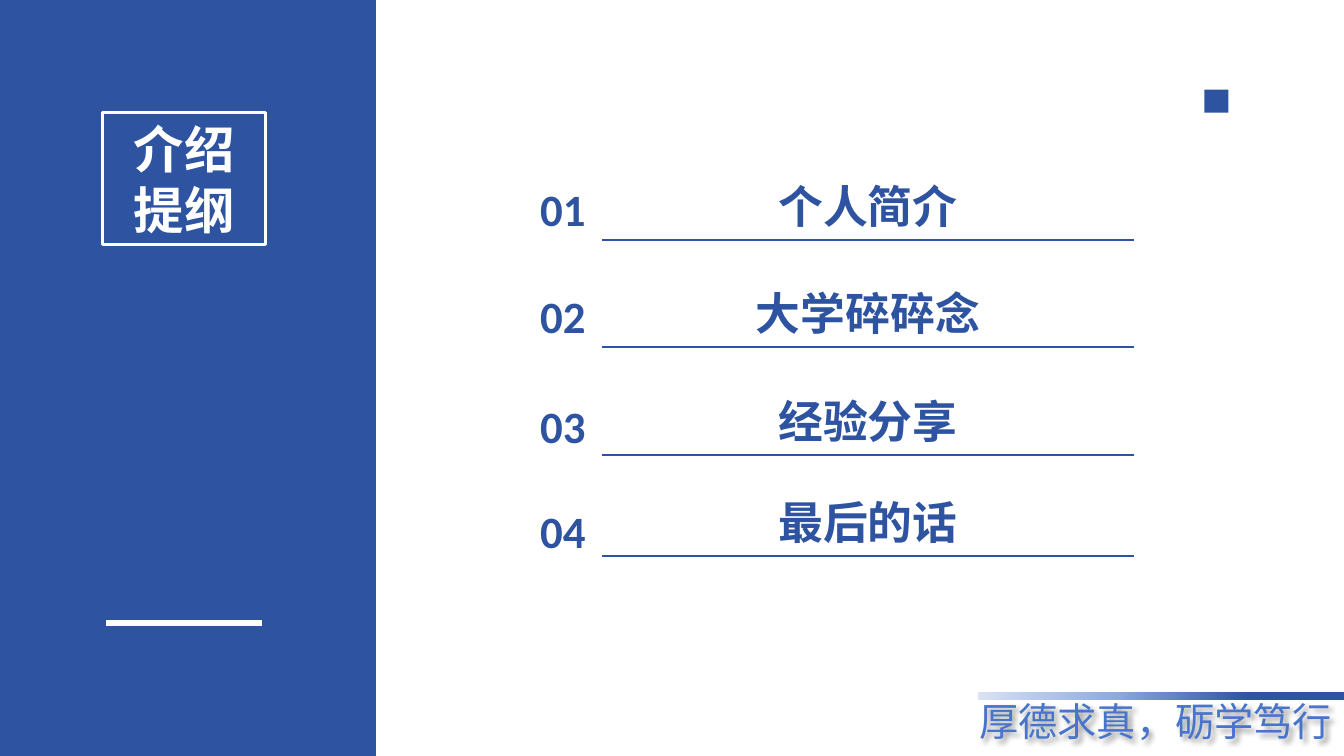
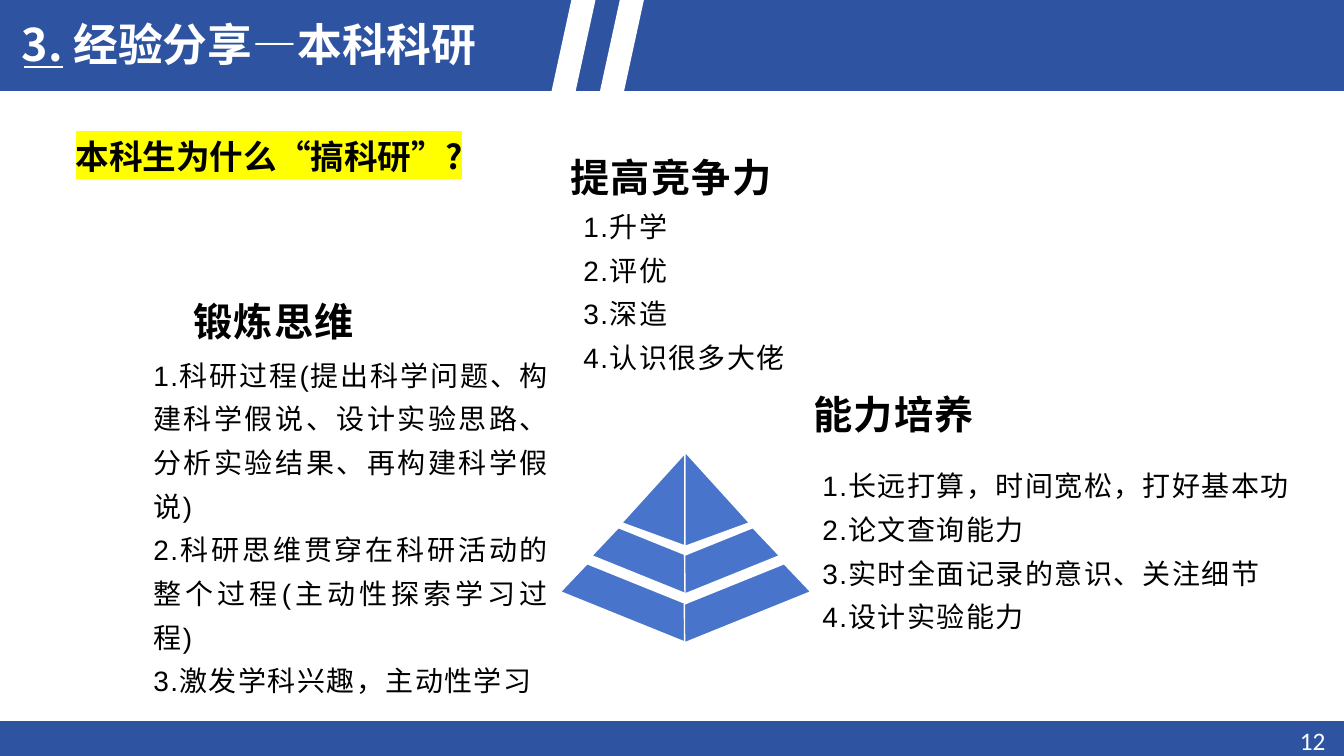
import pptx
import pptx.util
import pptx.dml.color
import pptx.enum.shapes
import pptx.enum.text
import pptx.oxml
import pptx.oxml.ns
from lxml import etree

Cm = pptx.util.Cm
Pt = pptx.util.Pt
qn = pptx.oxml.ns.qn
SHAPE = pptx.enum.shapes.MSO_SHAPE
ALIGN = pptx.enum.text.PP_ALIGN
ANCHOR = pptx.enum.text.MSO_ANCHOR
AUTO_SIZE = pptx.enum.text.MSO_AUTO_SIZE

COLORS = {
    "navy": "2E54A1",
    "blue": "4874CB",
    "white": "FFFFFF",
    "black": "000000",
    "yellow": "FFFF00",
}
FADE = [(0, "DAE3F5"), (17, "B6C7EA"), (36, "91ACE0"), (74, "2E54A1"), (100, "2E54A1")]
CHINESE = "Noto Sans CJK SC"
WIDTH, HEIGHT = 33.87, 19.05
TITLE_STYLE = {"font": CHINESE, "color": "white", "bold": True}
ITEM_STYLE = {"size": 32, "color": "navy", "bold": True, "align": ALIGN.CENTER}
LIST_STYLE = {"size": 20, "align": ALIGN.JUSTIFY, "line_spacing": 1.3, "tracking": 100}
HEADING_STYLE = LIST_STYLE | {"size": 28, "bold": True}


def rgb(name):
    return pptx.dml.color.RGBColor.from_string(COLORS[name])


def place(shape, box):
    """Put a shape at left, top, width, height in centimetres."""
    shape.left, shape.top, shape.width, shape.height = (Cm(value) for value in box)


def write(shape, text, size=18, font="Arial", color="black", bold=False,
          align=ALIGN.LEFT, anchor=ANCHOR.TOP, line_spacing=1.0,
          tracking=None, highlight=None, wrap=True):
    """Fill a shape with one formatted paragraph for each line of text."""
    frame = shape.text_frame
    frame.text = text
    frame.word_wrap = wrap
    frame.auto_size = AUTO_SIZE.NONE
    frame.vertical_anchor = anchor
    for paragraph in frame.paragraphs:
        properties = paragraph._p.get_or_add_pPr()
        if shape.is_placeholder:
            properties.set("marL", "0")
            properties.set("indent", "0")
            etree.SubElement(properties, qn("a:buNone"))
        paragraph.alignment = align
        paragraph.line_spacing = line_spacing
        paragraph.space_before = Pt(0)
        for run in paragraph.runs:
            run.font.size = Pt(size)
            run.font.bold = bold
            run.font.color.rgb = rgb(color)
            run.font.name = font
            run_properties = run._r.get_or_add_rPr()
            latin = run_properties.find(qn("a:latin"))
            east_asian = etree.Element(qn("a:ea"))
            east_asian.set("typeface", font if "CJK" in font else CHINESE)
            latin.addnext(east_asian)
            if tracking:
                run_properties.set("spc", str(tracking))
            if highlight:
                marker = etree.Element(qn("a:highlight"))
                etree.SubElement(marker, qn("a:srgbClr")).set("val", COLORS[highlight])
                latin.addprevious(marker)


def add_text(slide, box, text, **style):
    shape = slide.shapes.add_textbox(*(Cm(value) for value in box))
    write(shape, text, **style)
    return shape


def fill_placeholder(slide, index, box, text, **style):
    """Move a placeholder to the front, place it and write in it."""
    shape = slide.placeholders[index]
    slide.shapes._spTree.append(shape._element)
    place(shape, box)
    write(shape, text, **style)
    return shape


def add_block(slide, kind, box, fill="navy", line=None, adjustment=None,
              rotation=0, flip=False):
    shape = slide.shapes.add_shape(kind, *(Cm(value) for value in box))
    shape.shadow.inherit = False
    shape.fill.solid()
    shape.fill.fore_color.rgb = rgb(fill)
    if line:
        shape.line.color.rgb = rgb(line)
        shape.line.width = Pt(1)
    else:
        shape.line.fill.background()
    if adjustment is not None:
        shape.adjustments[0] = adjustment
    shape.rotation = rotation
    if flip:
        shape._element.spPr.find(qn("a:xfrm")).set("flipH", "1")
    return shape


def add_rule(slide, start, end, top, color, width):
    """Draw a horizontal line."""
    connector = slide.shapes.add_connector(
        pptx.enum.shapes.MSO_CONNECTOR.STRAIGHT, Cm(start), Cm(top), Cm(end), Cm(top))
    connector.line.color.rgb = rgb(color)
    connector.line.width = Pt(width)
    etree.SubElement(connector._element.spPr, qn("a:effectLst"))


def fade(shape):
    """Give a shape a left-to-right gradient."""
    shape.fill.gradient()
    shape.fill.gradient_angle = 0
    stops = shape._element.spPr.find(qn("a:gradFill")).find(qn("a:gsLst"))
    for stop in list(stops):
        stops.remove(stop)
    for position, color in FADE:
        stop = etree.SubElement(stops, qn("a:gs"))
        stop.set("pos", str(position * 1000))
        etree.SubElement(stop, qn("a:srgbClr")).set("val", color)


def add_soft_shadow(shape):
    effects = etree.SubElement(shape._element.spPr, qn("a:effectLst"))
    shadow = etree.SubElement(effects, qn("a:outerShdw"))
    for name, value in (("blurRad", Pt(4)), ("dist", Pt(3)), ("dir", 2700000), ("algn", "tl")):
        shadow.set(name, str(value))
    color = etree.SubElement(shadow, qn("a:srgbClr"))
    color.set("val", COLORS["black"])
    etree.SubElement(color, qn("a:alpha")).set("val", "40000")


def add_pyramid(slide, axis):
    """Build each tier as a left half and its mirrored right half."""
    tiers = [
        (SHAPE.TRAPEZOID, (14.17, 14.68, 3.43, 0.91), 0.394, 22),
        (SHAPE.TRAPEZOID, (14.99, 13.61, 2.57, 0.91), 0.394, 22),
        (SHAPE.ISOSCELES_TRIANGLE, (15.29, 11.76, 2.39, 1.63), 0.249, 270),
    ]
    for kind, (left, top, width, height), adjustment, rotation in tiers:
        mirrored_left = 2 * axis - left - width
        add_block(slide, kind, (left, top, width, height), "blue", "white",
                  adjustment, rotation)
        add_block(slide, kind, (mirrored_left, top, width, height), "blue", "white",
                  adjustment, 360 - rotation, flip=True)


def build_outline(presentation):
    slide = presentation.slides.add_slide(presentation.slide_layouts[5])

    # Side panel with framed title
    add_block(slide, SHAPE.RECTANGLE, (0, 0, 9.45, HEIGHT), line="navy")
    title = fill_placeholder(slide, 0, (2.59, 2.84, 4.11, 3.33), "介绍\n提纲", size=36,
                             align=ALIGN.CENTER, anchor=ANCHOR.MIDDLE, **TITLE_STYLE)
    title.line.color.rgb = rgb("white")
    title.line.width = Pt(2.25)
    add_rule(slide, 2.67, 6.6, 15.7, "white", 4.5)

    # Decorations
    fade(add_block(slide, SHAPE.RECTANGLE, (24.64, 17.45, 9.23, 0.2)))
    add_block(slide, SHAPE.RECTANGLE, (30.35, 2.26, 0.61, 0.58))

    # Agenda: text, top of the number, height of the rule
    agenda = [
        ("个人简介", 4.45, 6.05),
        ("大学碎碎念", 7.14, 8.74),
        ("经验分享", 9.93, 11.46),
        ("最后的话", 12.57, 14.0),
    ]
    for number, (text, number_top, rule_top) in enumerate(agenda, 1):
        add_text(slide, (13.26, number_top, 1.85, 1.63), f"{number:02}",
                 font="Calibri", **ITEM_STYLE)
        add_text(slide, (14.6, rule_top - 1.66, 14.55, 1.63), text,
                 font=CHINESE, **ITEM_STYLE)
        add_rule(slide, 15.16, 28.58, rule_top, "navy", 1.5)

    # Motto
    motto = add_text(slide, (24.38, 17.45, 9.49, 1.45), "厚德求真，砺学笃行", size=28,
                     font="Noto Sans CJK JP", color="blue", align=ALIGN.CENTER, wrap=False)
    add_soft_shadow(motto)


def build_research(presentation):
    slide = presentation.slides.add_slide(presentation.slide_layouts[4])

    # Header and footer bands
    add_block(slide, SHAPE.RECTANGLE, (0, 0, WIDTH, 2.29), line="navy")
    add_block(slide, SHAPE.RECTANGLE, (0, 18.19, WIDTH, 0.86), line="navy")
    add_rule(slide, 0.61, 1.6, 1.68, "white", 1.5)
    for left in (13.92, 15.14):
        add_block(slide, SHAPE.PARALLELOGRAM, (left, 0, 1.07, 2.29), "white", "white", 0.466)
    add_text(slide, (32.51, 18.14, 1.36, 0.66), "12", font="Calibri", color="white")
    fill_placeholder(slide, 0, (0.3, 0.3, 13.5, 1.63), "3. 经验分享—本科科研",
                     size=32, **TITLE_STYLE)

    add_pyramid(slide, axis=17.28)

    # Question
    fill_placeholder(slide, 1, (1.65, 3.3, 11.28, 1.4), "本科生为什么“搞科研”?",
                     size=24, font=CHINESE, bold=True, highlight="yellow")

    # Reasons: heading and its box, then list placeholder, box and entries
    reasons = [
        ("锻炼思维", (4.62, 7.01, 5.33, 1.8), 2, (3.61, 8.64, 10.49, 9.14), [
            "科研过程(提出科学问题、构建科学假说、设计实验思路、分析实验结果、再构建科学假说)",
            "科研思维贯穿在科研活动的整个过程(主动性探索学习过程)",
            "激发学科兴趣，主动性学习"]),
        ("提高竞争力", (14.12, 3.38, 6.35, 1.8), 3, (14.45, 4.9, 5.99, 4.7), [
            "升学", "评优", "深造", "认识很多大佬"]),
        ("能力培养", (20.24, 9.35, 7.09, 1.8), 4, (20.47, 11.43, 13.39, 4.7), [
            "长远打算，时间宽松，打好基本功", "论文查询能力",
            "实时全面记录的意识、关注细节", "设计实验能力"]),
    ]
    for heading, heading_box, index, list_box, entries in reasons:
        add_text(slide, heading_box, heading, **HEADING_STYLE)
        lines = [f"{number}.{entry}" for number, entry in enumerate(entries, 1)]
        fill_placeholder(slide, index, list_box, "\n".join(lines), **LIST_STYLE)


def main():
    presentation = pptx.Presentation()
    presentation.slide_width = Cm(WIDTH)
    presentation.slide_height = Cm(HEIGHT)
    build_outline(presentation)
    build_research(presentation)
    presentation.save("out.pptx")


if __name__ == "__main__":
    main()
